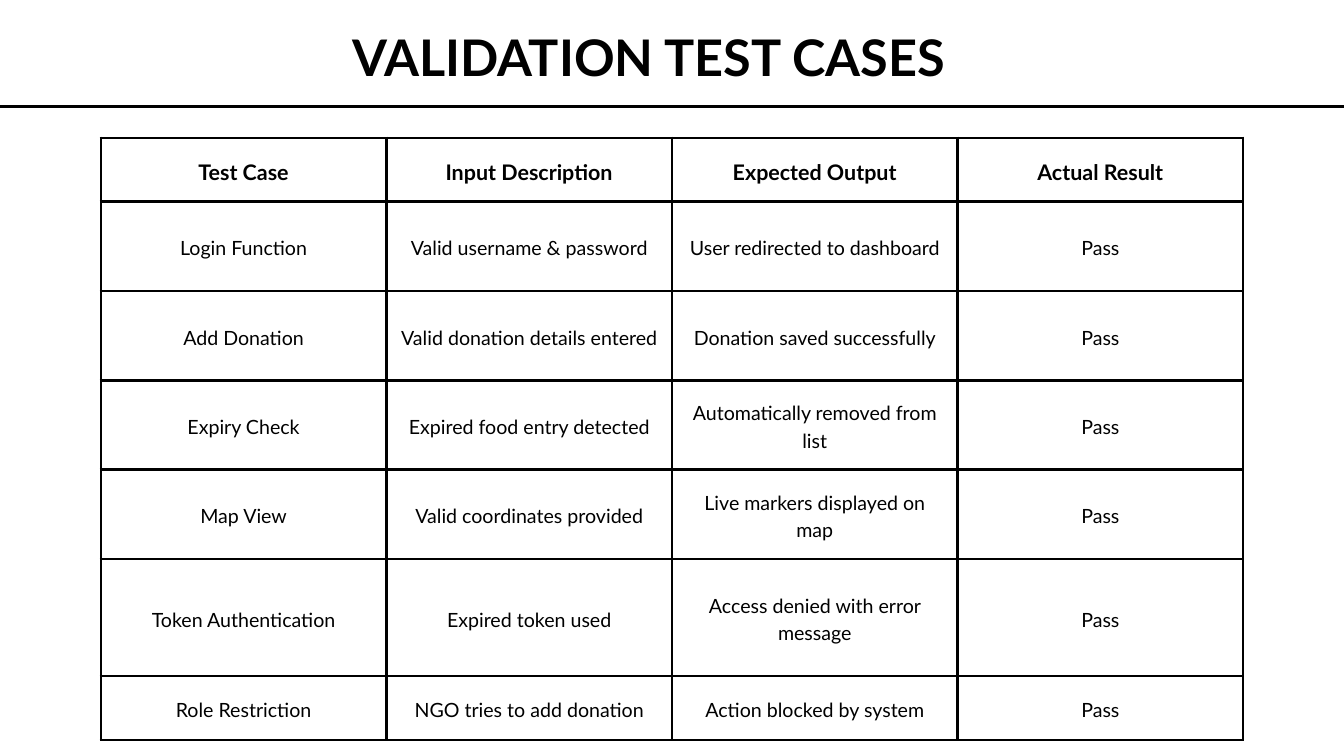
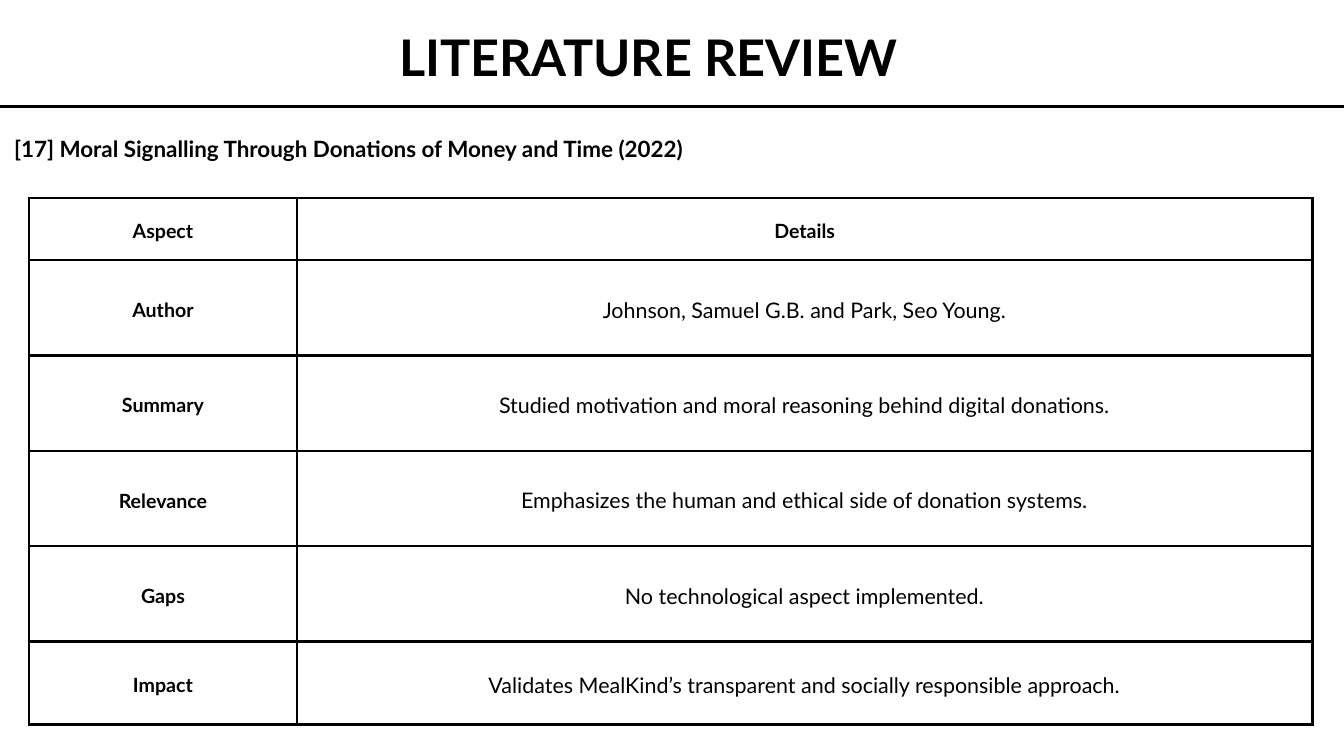
from lxml import etree
from pptx import Presentation
from pptx.dml.color import RGBColor
from pptx.enum.shapes import MSO_CONNECTOR
from pptx.enum.text import MSO_ANCHOR, MSO_AUTO_SIZE, PP_ALIGN
from pptx.oxml.ns import qn
from pptx.util import Inches, Pt

LEFT, CENTER = PP_ALIGN.LEFT, PP_ALIGN.CENTER
MIDDLE = MSO_ANCHOR.MIDDLE
GROW = MSO_AUTO_SIZE.SHAPE_TO_FIT_TEXT
STRAIGHT = MSO_CONNECTOR.STRAIGHT
COLORS = {"ink": "000000", "paper": "FFFFFF"}


class Deck:
    """Holds the shared style and the current slide."""

    font = "Lato"
    rule_width = Pt(3)
    leading = 1.4
    title_center = 9.65
    bleed = 0.59
    cell_margin = Inches(0.21)

    def __init__(self, width, height):
        self.prs = Presentation()
        self.width = width
        self.prs.slide_width = Inches(width)
        self.prs.slide_height = Inches(height)
        self.slide = None

    def add_slide(self, title, title_width):
        self.slide = self.prs.slides.add_slide(self.prs.slide_layouts[6])
        fill = self.slide.background.fill
        fill.solid()
        fill.fore_color.rgb = RGBColor.from_string(COLORS["paper"])
        self.rule(1.59)
        title_left = self.title_center - title_width / 2
        self.text(title, title_left, 0.24, title_width, 1.17, 54, CENTER)

    def rule(self, y):
        rule = self.slide.shapes.add_connector(
            STRAIGHT, Inches(-self.bleed), Inches(y), Inches(self.width + self.bleed), Inches(y))
        rule.line.color.rgb = RGBColor.from_string(COLORS["ink"])
        rule.line.width = self.rule_width
        etree.SubElement(rule._element.spPr, qn("a:effectLst"))

    def set_words(self, frame, words, size, bold, align):
        frame.text = words
        paragraph = frame.paragraphs[0]
        paragraph.alignment = align
        paragraph.line_spacing = Pt(round(size * self.leading, 1))
        font = paragraph.runs[0].font
        font.name = self.font
        font.size = Pt(size)
        font.bold = bold
        font.color.rgb = RGBColor.from_string(COLORS["ink"])

    def text(self, words, left, top, width, height, size, align=LEFT):
        box = self.slide.shapes.add_textbox(
            Inches(left), Inches(top), Inches(width), Inches(height))
        frame = box.text_frame
        frame.word_wrap = True
        frame.auto_size = GROW
        frame.margin_left = frame.margin_right = frame.margin_top = frame.margin_bottom = 0
        self.set_words(frame, words, size, True, align)

    def border(self, cell):
        properties = cell._tc.get_or_add_tcPr()
        for side in ("lnL", "lnR", "lnT", "lnB"):
            edge = etree.SubElement(properties, qn(f"a:{side}"), w=str(self.rule_width))
            fill = etree.SubElement(edge, qn("a:solidFill"))
            etree.SubElement(fill, qn("a:srgbClr"), val=COLORS["ink"])

    def table(self, rows, left, top, widths, heights, style):
        grid = self.slide.shapes.add_table(
            len(rows), len(widths), Inches(left), Inches(top),
            Inches(sum(widths)), Inches(sum(heights))).table
        grid.first_row = grid.horz_banding = False
        for column, width in zip(grid.columns, widths):
            column.width = Inches(width)
        for r, (row, height) in enumerate(zip(rows, heights)):
            grid.rows[r].height = Inches(height)
            for c, words in enumerate(row):
                cell = grid.cell(r, c)
                cell.vertical_anchor = MIDDLE
                cell.margin_left = cell.margin_right = self.cell_margin
                cell.margin_top = cell.margin_bottom = self.cell_margin
                self.border(cell)
                cell.fill.background()
                size, bold = style(r, c)
                self.set_words(cell.text_frame, words, size, bold, CENTER)


TEST_CASES = [
    ("Test Case", "Input Description", "Expected Output", "Actual Result"),
    ("Login Function", "Valid username & password", "User redirected to dashboard", "Pass"),
    ("Add Donation", "Valid donation details entered", "Donation saved successfully", "Pass"),
    ("Expiry Check", "Expired food entry detected", "Automatically removed from list", "Pass"),
    ("Map View", "Valid coordinates provided", "Live markers displayed on map", "Pass"),
    ("Token Authentication", "Expired token used", "Access denied with error message", "Pass"),
    ("Role Restriction", "NGO tries to add donation", "Action blocked by system", "Pass"),
]
REVIEW = [
    ("Aspect", "Details"),
    ("Author", "Johnson, Samuel G.B. and Park, Seo Young."),
    ("Summary", "Studied motivation and moral reasoning behind digital donations."),
    ("Relevance", "Emphasizes the human and ethical side of donation systems."),
    ("Gaps", "No technological aspect implemented."),
    ("Impact", "Validates MealKind’s transparent and socially responsible approach."),
]


def test_case_style(row, column):
    return (23, True) if row == 0 else (21, False)


def review_style(row, column):
    return (21, True) if row == 0 or column == 0 else (23, False)


def main():
    deck = Deck(20, 11.25)

    deck.add_slide("VALIDATION TEST CASES", 9.28)
    deck.table(TEST_CASES, 1.5, 2.05, [4.25] * 4,
               [0.95] + [1.33] * 4 + [1.74, 0.95], test_case_style)

    deck.add_slide("LITERATURE REVIEW", 7.79)
    deck.table(REVIEW, 0.43, 2.95, [3.99, 15.11],
               [0.92] + [1.42] * 4 + [1.23], review_style)
    deck.text("[17] Moral Signalling Through Donations of Money and Time (2022)",
              0.21, 1.95, 19.53, 0.53, 24)

    deck.prs.save("out.pptx")


if __name__ == "__main__":
    main()
